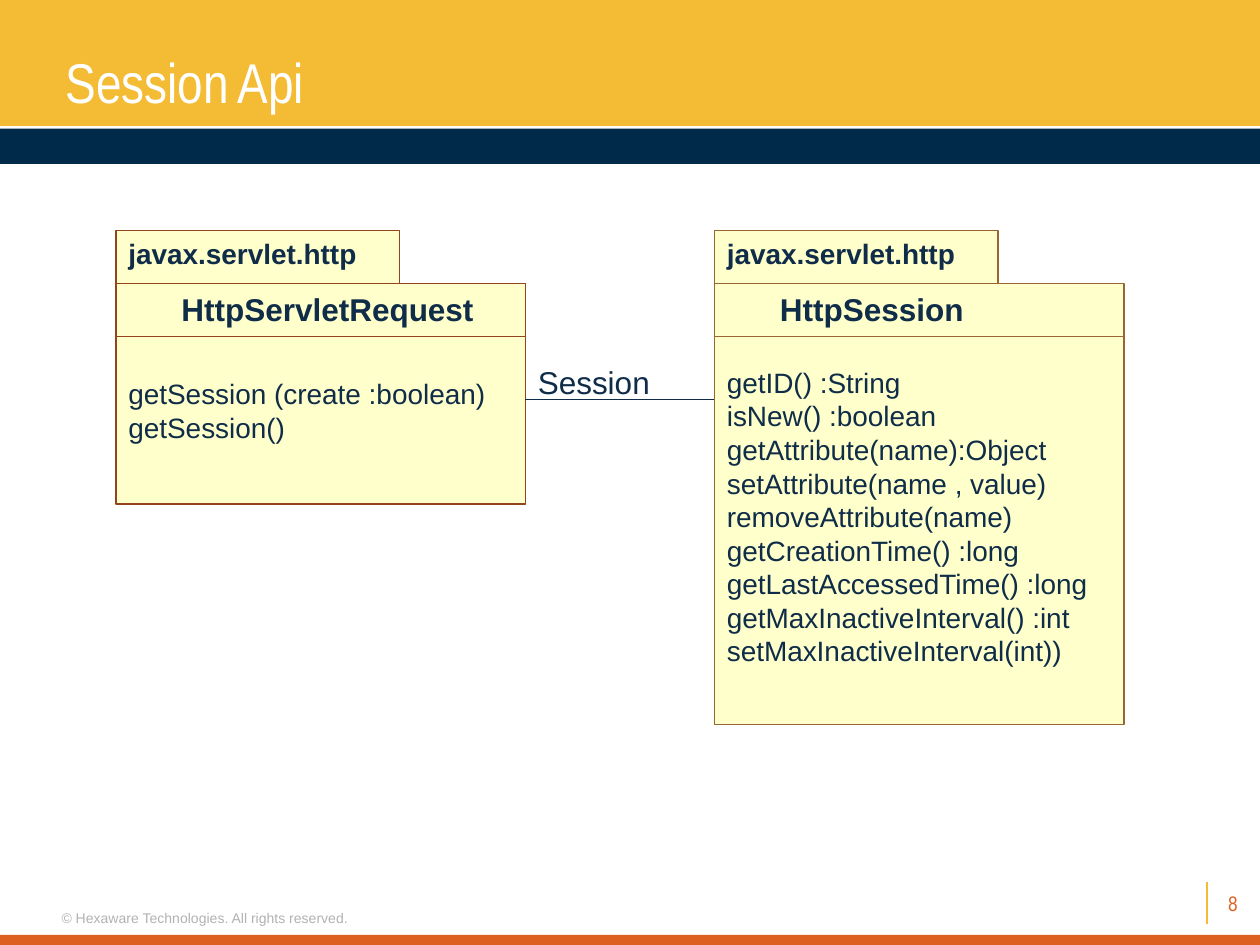
import pptx
import pptx.util
import pptx.dml.color
import pptx.enum.shapes
import pptx.enum.text
import pptx.oxml.ns
import lxml.etree

Inches = pptx.util.Inches
Pt = pptx.util.Pt
Align = pptx.enum.text.PP_ALIGN
Anchor = pptx.enum.text.MSO_ANCHOR

theme = {
    "gold": "F4BB34", "navy": "002A4A", "orange": "DD6021", "ink": "0F2C48",
    "gray": "B0B3B2", "white": "FFFFFF", "cream": "FFFFCC",
    "rust": "93441D", "brown": "996633",
    "sans": "Arial", "narrow": "Arial Narrow",
    "title": 32, "name": 18, "member": 16, "number": 12, "footer": 8,
}


def write(box, lines, size, color="ink", font="sans", bold=False,
          align=Align.LEFT, spacing=None, **frame_format):
    frame = box.text_frame
    values = {"word_wrap": True, "vertical_anchor": Anchor.TOP,
              "margin_left": Inches(0.1), "margin_right": Inches(0.1),
              "margin_top": Inches(0.05), "margin_bottom": Inches(0.05)}
    for key, value in (values | frame_format).items():
        setattr(frame, key, value)
    for index, line in enumerate(lines):
        para = frame.paragraphs[0] if index == 0 else frame.add_paragraph()
        para.alignment = align
        para.line_spacing = spacing
        span = para.add_run()
        span.text = line
        text_format = {"name": theme[font], "size": Pt(theme[size]), "bold": bold}
        for key, value in text_format.items():
            setattr(span.font, key, value)
        span.font.color.rgb = pptx.dml.color.RGBColor.from_string(theme[color])


def rectangle(page, place, fill, line=None):
    box = page.shapes.add_shape(pptx.enum.shapes.MSO_SHAPE.RECTANGLE, *map(Inches, place))
    box.shadow.inherit = False
    box.fill.solid()
    box.fill.fore_color.rgb = pptx.dml.color.RGBColor.from_string(theme[fill])
    if line:
        box.line.color.rgb = pptx.dml.color.RGBColor.from_string(theme[line])
        box.line.width = Pt(0.75)
    else:
        box.line.fill.background()
    return box


deck = pptx.Presentation()
deck.slide_width, deck.slide_height = Inches(10), Inches(7.5)
page = deck.slides.add_slide(deck.slide_layouts[5])

for top, height, fill in [(0, 1, "gold"), (1.02, 0.28, "navy"), (7.42, 0.08, "orange")]:
    rectangle(page, (0, top, 10, height), fill)

number = page.shapes.add_textbox(*map(Inches, (9.5, 7, 0.42, 0.33)))
write(number, ["8"], "number", "orange", "narrow", align=Align.RIGHT,
      vertical_anchor=Anchor.MIDDLE)
footer = page.shapes.add_textbox(*map(Inches, (0.39, 7.17, 2.53, 0.24)))
write(footer, ["© Hexaware Technologies. All rights reserved."], "footer", "gray",
      word_wrap=False)

title = page.shapes.title
title._element.getparent().append(title._element)
title_place = {"left": 0.42, "top": 0.33, "width": 4.5, "height": 0.64}
for key, value in title_place.items():
    setattr(title, key, Inches(value))
write(title, ["Session"], "title", "white", "narrow",
      auto_size=pptx.enum.text.MSO_AUTO_SIZE.NONE)
for text, font, size, color in [(" ", "sans", "name", "ink"),
                                ("Api", "narrow", "title", "white")]:
    span = title.text_frame.paragraphs[0].add_run()
    span.text = text
    for key, value in {"name": theme[font], "size": Pt(theme[size])}.items():
        setattr(span.font, key, value)
    span.font.color.rgb = pptx.dml.color.RGBColor.from_string(theme[color])

request_methods = ["getSession (create :boolean)", "getSession()"]
session_methods = [
    "getID() :String", "isNew() :boolean", "getAttribute(name):Object",
    "setAttribute(name , value)", "removeAttribute(name)",
    "getCreationTime() :long", "getLastAccessedTime() :long",
    "getMaxInactiveInterval() :int", "setMaxInactiveInterval(int))",
]
tab = (1.83, 2.25, 0.42, ["javax.servlet.http"], "tab")
classes = [
    (0.92, "rust", [(2.25, 3.25, 0.58, ["HttpServletRequest"], "name"), tab,
                    (2.67, 3.25, 1.33, request_methods, "members")]),
    (5.67, "brown", [(2.58, 3.25, 3.17, session_methods, "members"),
                     (2.25, 3.25, 0.42, ["HttpSession"], "name"), tab]),
]
box_formats = {
    "tab": {"size": "member", "bold": True},
    "name": {"size": "name", "bold": True, "margin_left": Inches(0.52)},
    "members": {"size": "member", "spacing": Pt(19.2), "margin_top": Inches(0.32)},
}
for left, line, boxes in classes:
    for top, width, height, lines, role in boxes:
        box = rectangle(page, (left, top, width, height), "cream", line)
        write(box, lines, **box_formats[role])

for ends, color in [((9.58, 7, 9.58, 7.33), "gold"), ((4.17, 3.17, 5.67, 3.17), "ink")]:
    rule = page.shapes.add_connector(
        pptx.enum.shapes.MSO_CONNECTOR.STRAIGHT, *map(Inches, ends))
    rule.line.color.rgb = pptx.dml.color.RGBColor.from_string(theme[color])
    rule.line.width = Pt(0.75)
    lxml.etree.SubElement(rule._element.spPr, pptx.oxml.ns.qn("a:effectLst"))

label = page.shapes.add_textbox(*map(Inches, (4.17, 2.83, 1.5, 0.4)))
write(label, ["Session"], "name")

deck.save("out.pptx")
